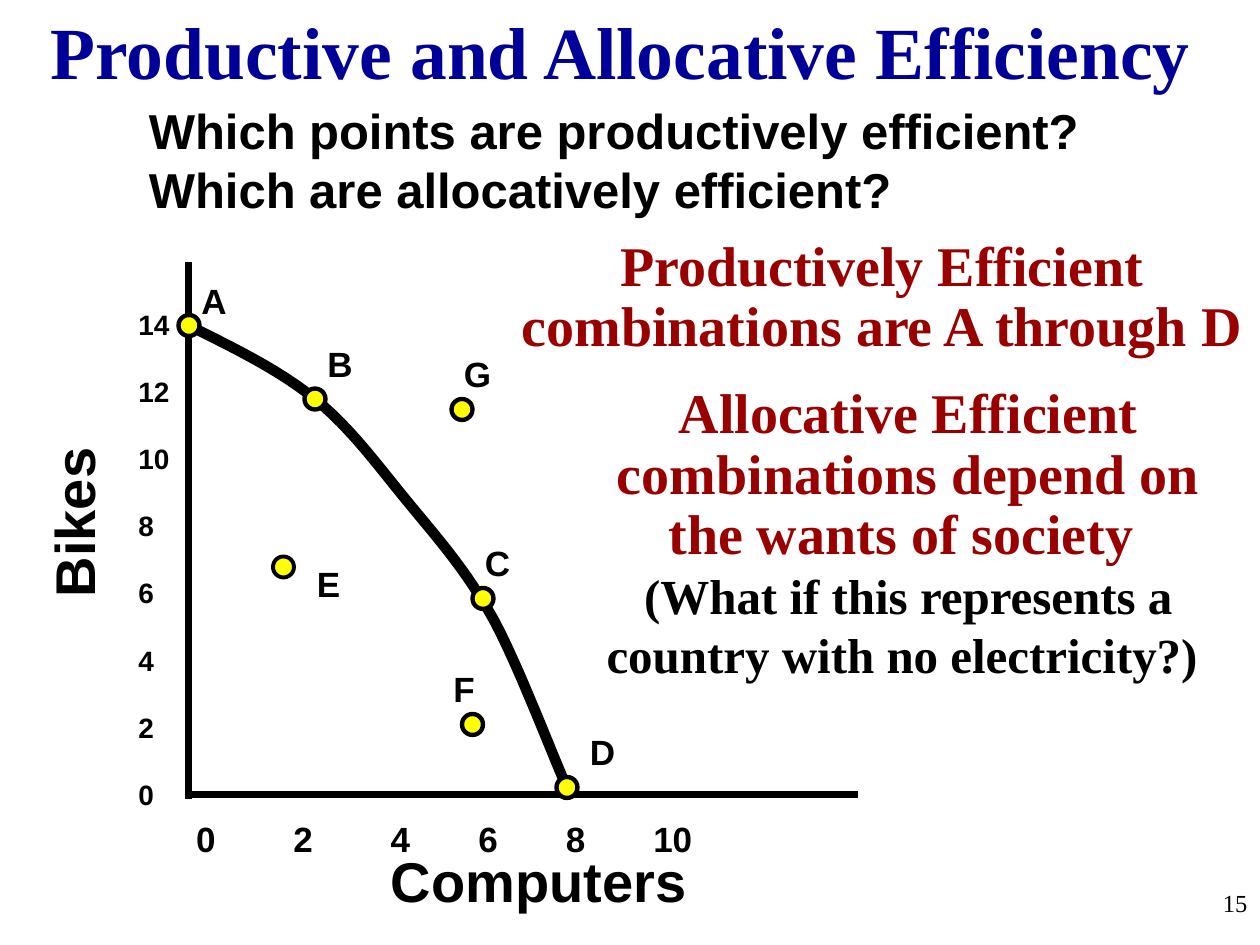
import pptx
import pptx.dml.color
import pptx.enum.shapes
import pptx.enum.text
import pptx.oxml.ns
import pptx.util
from lxml import etree

Pt = pptx.util.Pt
Align = pptx.enum.text.PP_ALIGN
BLACK = pptx.dml.color.RGBColor(0x00, 0x00, 0x00)
NAVY = pptx.dml.color.RGBColor(0x00, 0x00, 0x99)
DARK_RED = pptx.dml.color.RGBColor(0x99, 0x00, 0x00)
YELLOW = pptx.dml.color.RGBColor(0xFF, 0xFF, 0x00)
SANS = "Arial"
SERIF = "Times New Roman"

COMBINATIONS = [
    ("A", 102, 180, 108, 156),
    ("B", 174, 222, 180, 192),
    ("C", 270, 336, 270, 306),
    ("D", 318, 444, 330, 414),
    ("E", 156, 318, 174, 318),
    ("F", 264, 408, 252, 378),
    ("G", 258, 228, 258, 198),
]
FRONTIER_START = (108, 186)
FRONTIER_CURVES = [
    ((133.2, 198.7), (159.1, 211), (180, 228)),
    ((200.9, 244.8), (216.7, 267.1), (234, 288)),
    ((251.3, 308.9), (267.1, 326.9), (282.2, 354.2)),
    ((296.6, 380.9), (316.8, 434.2), (324, 450)),
]
BIKES_ZERO = 454.3
BIKES_UNIT = 19.2
COMPUTER_TICKS = [(0, 105), (2, 160.6), (4, 216.2), (6, 266.2), (8, 316.2), (10, 366.2)]


def place(shape, left, top, width, height):
    shape.left, shape.top = Pt(left), Pt(top)
    shape.width, shape.height = Pt(width), Pt(height)


def format_paragraph(paragraph, text, size, font, color, align, bold=True, spacing=None):
    paragraph.text = text
    paragraph.alignment = align
    paragraph.line_spacing = Pt(spacing or size * 1.2)
    paragraph.font.size = Pt(size)
    paragraph.font.name = font
    paragraph.font.bold = bold
    paragraph.font.color.rgb = color


def prepare_frame(shape):
    frame = shape.text_frame
    frame.word_wrap = True
    frame.auto_size = pptx.enum.text.MSO_AUTO_SIZE.NONE
    frame.vertical_anchor = pptx.enum.text.MSO_ANCHOR.TOP
    return frame


def add_text(slide, box, lines, size, font=SANS, color=BLACK, align=Align.LEFT,
             bold=True, spacing=None):
    shape = slide.shapes.add_textbox(*map(Pt, box))
    frame = prepare_frame(shape)
    for index, line in enumerate(lines):
        paragraph = frame.add_paragraph() if index else frame.paragraphs[0]
        format_paragraph(paragraph, line, size, font, color, align, bold, spacing)
    return shape


def add_title(slide, text):
    title = slide.shapes.title
    place(title, 18, 0, 673.2, 57.6)
    paragraph = prepare_frame(title).paragraphs[0]
    format_paragraph(paragraph, text, 42, SERIF, NAVY, Align.CENTER)


def add_axis(slide, start, end):
    axis = slide.shapes.add_connector(
        pptx.enum.shapes.MSO_CONNECTOR.STRAIGHT, *map(Pt, start + end))
    axis.line.color.rgb = BLACK
    axis.line.width = Pt(4)
    etree.SubElement(axis._element.spPr, pptx.oxml.ns.qn("a:effectLst"))


def curve_points(start, curves, steps=12):
    points = []
    for first, second, end in curves:
        for step in range(1, steps + 1):
            t = step / steps
            weights = ((1 - t) ** 3, 3 * t * (1 - t) ** 2, 3 * t * t * (1 - t), t ** 3)
            points.append(tuple(
                Pt(sum(weight * value for weight, value in zip(weights, values)))
                for values in zip(start, first, second, end)))
        start = end
    return points


def add_frontier(slide):
    builder = slide.shapes.build_freeform(*map(Pt, FRONTIER_START))
    builder.add_line_segments(curve_points(FRONTIER_START, FRONTIER_CURVES), close=False)
    frontier = builder.convert_to_shape()
    frontier.shadow.inherit = False
    frontier.fill.background()
    frontier.line.color.rgb = BLACK
    frontier.line.width = Pt(6)


def add_combination(slide, name, left, top, label_left, label_top):
    dot = slide.shapes.add_shape(
        pptx.enum.shapes.MSO_SHAPE.OVAL, Pt(left), Pt(top), Pt(12), Pt(12))
    dot.shadow.inherit = False
    dot.fill.solid()
    dot.fill.fore_color.rgb = YELLOW
    dot.line.color.rgb = BLACK
    dot.line.width = Pt(2.25 if name == "E" else 2.5)
    add_text(slide, (label_left, label_top, 32, 31), [name], 20)


def add_axes(slide):
    add_axis(slide, (107.5, 150), (107.5, 456.3))
    add_axis(slide, (106.5, 454.3), (490.5, 454.3))
    for value in range(0, 15, 2):
        top = BIKES_ZERO - value * BIKES_UNIT - 13.5
        add_text(slide, (72, top, 36, 26.4), [str(value)], 16)
    for value, left in COMPUTER_TICKS:
        add_text(slide, (left, 463.7, 40, 31), [str(value)], 20)
    bikes = add_text(slide, (-13, 275.8, 110, 45.4), ["Bikes"], 32, align=Align.CENTER)
    bikes.rotation = 270
    add_text(slide, (208, 480.2, 200, 45.4), ["Computers"], 32, align=Align.CENTER)


def add_answers(slide):
    add_text(slide, (288, 131.8, 432, 80),
             ["Productively Efficient combinations are A through D"],
             32, SERIF, DARK_RED, Align.CENTER, spacing=34.6)
    answer = add_text(slide, (336, 216, 366, 175.7),
                      ["Allocative Efficient combinations depend on the wants of society "],
                      32, SERIF, DARK_RED, Align.CENTER, spacing=34.6)
    format_paragraph(answer.text_frame.add_paragraph(),
                     "(What if this represents a country with no electricity?) ",
                     28, SERIF, BLACK, Align.CENTER, spacing=33.6)


def main():
    presentation = pptx.Presentation()
    presentation.slide_width, presentation.slide_height = Pt(720), Pt(540)
    slide = presentation.slides.add_slide(presentation.slide_layouts[5])
    add_title(slide, "Productive and Allocative Efficiency")
    add_frontier(slide)
    add_axes(slide)
    for combination in COMBINATIONS:
        add_combination(slide, *combination)
    add_text(slide, (78, 54, 558, 74.4),
             ["Which points are productively efficient?",
              "Which are allocatively efficient?"], 28)
    add_text(slide, (570, 504, 150, 36), ["15"], 14, SERIF, align=Align.RIGHT, bold=False)
    add_answers(slide)
    presentation.save("out.pptx")


if __name__ == "__main__":
    main()
